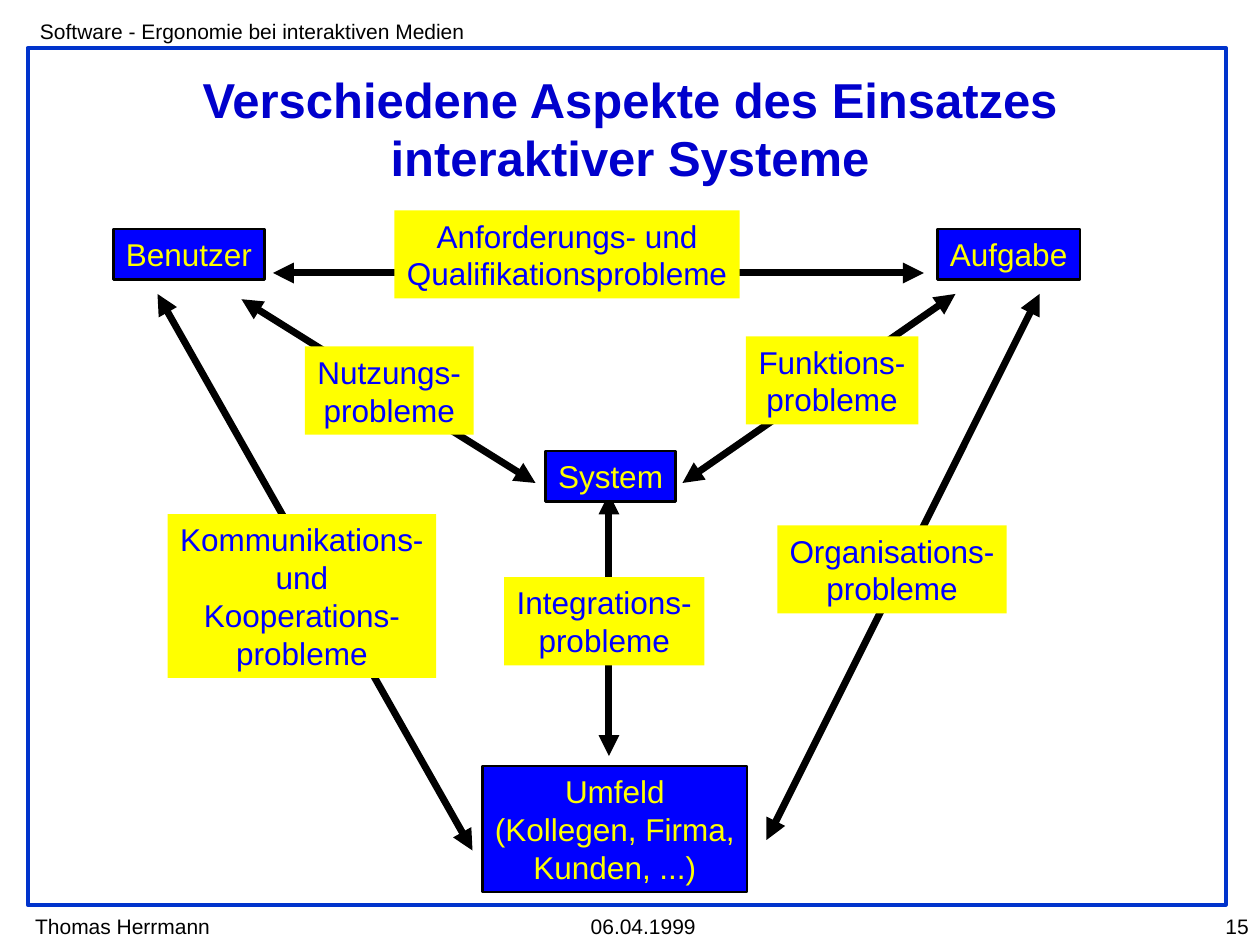
"""Build a slide on the aspects of using interactive systems."""
from dataclasses import dataclass

from lxml import etree
from pptx import Presentation
from pptx import util as u
from pptx.dml.color import RGBColor
from pptx.enum import shapes, text
from pptx.oxml.ns import qn

COLORS = {
    "frame": "0033CC",
    "title": "0000CC",
    "blue": "0000FF",
    "yellow": "FFFF00",
    "black": "000000",
}
FONT = "Arial"
LINE_HEIGHT = 21.6
BOX_PADDING = 7.2


@dataclass(frozen=True)
class Caption:
    wording: str
    left: float
    top: float
    width: float
    align: text.PP_ALIGN = text.PP_ALIGN.LEFT
    wrap: bool = False


@dataclass(frozen=True)
class Box:
    wording: str
    left: float
    top: float
    width: float


@dataclass(frozen=True)
class Arrow:
    x1: float
    y1: float
    x2: float
    y2: float


@dataclass(frozen=True)
class Style:
    fill: str
    ink: str
    outline: str | None = None


ENTITY_STYLE = Style("blue", "yellow", "black")
PROBLEM_STYLE = Style("yellow", "blue")

CAPTIONS = [
    Caption("Thomas Herrmann", 13, 518.4, 114.5),
    Caption("Software - Ergonomie bei interaktiven Medien", 15.8, 7.2, 266.4, wrap=True),
    Caption("06.04.1999", 330.5, 518.4, 74.2),
    Caption("15", 651.6, 518.4, 69.1, text.PP_ALIGN.RIGHT, wrap=True),
]
ARROWS = [
    Arrow(156, 156, 528, 156),
    Arrow(90, 168, 270, 486),
    Arrow(348, 282, 348, 432),
    Arrow(390, 276, 546, 168),
    Arrow(306, 276, 138, 171),
    Arrow(594, 168, 438, 480),
]
ENTITIES = [
    Box("Benutzer", 64.8, 131, 86.4),
    Box("Aufgabe", 535.7, 131, 81.4),
    Box("Umfeld\n(Kollegen, Firma,\nKunden, ...)", 275.8, 437.8, 151.2),
    Box("System", 311.8, 257.8, 74.2),
]
PROBLEMS = [
    Box("Nutzungs-\nprobleme", 174.2, 198, 96.5),
    Box("Funktions-\nprobleme", 426.2, 192.2, 98.6),
    Box("Kommunikations-\nund\nKooperations-\nprobleme", 95.8, 293.8, 153.4),
    Box("Organisations-\nprobleme", 444.2, 300.2, 131),
    Box("Integrations-\nprobleme", 288, 329.8, 114.5),
    Box("Anforderungs- und\nQualifikationsprobleme", 225.4, 120.2, 197.3),
]


def color(name: str) -> RGBColor:
    return RGBColor.from_string(COLORS[name])


def write(frame, wording: str, size: float, ink: str, align: text.PP_ALIGN,
          wrap: bool = False, bold: bool = False) -> None:
    frame.text = wording
    frame.word_wrap = wrap
    frame.auto_size = text.MSO_AUTO_SIZE.NONE
    for para in frame.paragraphs:
        para.alignment = align
        para.font.name = FONT
        para.font.size = u.Pt(size)
        para.font.bold = bold
        para.font.color.rgb = color(ink)


def add_rectangle(page, left: float, top: float, width: float, height: float):
    rectangle = page.shapes.add_shape(
        shapes.MSO_SHAPE.RECTANGLE, u.Pt(left), u.Pt(top), u.Pt(width), u.Pt(height))
    rectangle.shadow.inherit = False
    return rectangle


def add_frame(page) -> None:
    border = add_rectangle(page, 15.8, 27.4, 684.7, 489.6)
    border.fill.background()
    border.line.color.rgb = color("frame")
    border.line.width = u.Pt(2.25)


def add_caption(page, caption: Caption) -> None:
    box = page.shapes.add_textbox(
        u.Pt(caption.left), u.Pt(caption.top), u.Pt(caption.width), u.Pt(LINE_HEIGHT))
    write(box.text_frame, caption.wording, 12, "black", caption.align, caption.wrap)


def add_title(page) -> None:
    title = page.shapes.title
    title.left, title.top, title.width, title.height = map(u.Pt, (36, 36, 648, 74.2))
    title.text_frame.vertical_anchor = text.MSO_ANCHOR.MIDDLE
    write(title.text_frame, "Verschiedene Aspekte des Einsatzes interaktiver Systeme",
          28, "title", text.PP_ALIGN.CENTER, wrap=True, bold=True)


def add_arrow(page, arrow: Arrow) -> None:
    connector = page.shapes.add_connector(
        shapes.MSO_CONNECTOR.STRAIGHT,
        u.Pt(arrow.x1), u.Pt(arrow.y1), u.Pt(arrow.x2), u.Pt(arrow.y2))
    connector.line.color.rgb = color("black")
    connector.line.width = u.Pt(4)
    line = connector.line._get_or_add_ln()
    for end in ("a:headEnd", "a:tailEnd"):
        etree.SubElement(line, qn(end), type="triangle")
    etree.SubElement(connector._element.spPr, qn("a:effectLst"))


def add_box(page, box: Box, style: Style) -> None:
    line_count = len(box.wording.splitlines())
    height = BOX_PADDING + LINE_HEIGHT * line_count
    rectangle = add_rectangle(page, box.left, box.top, box.width, height)
    rectangle.fill.solid()
    rectangle.fill.fore_color.rgb = color(style.fill)
    if style.outline:
        rectangle.line.color.rgb = color(style.outline)
        rectangle.line.width = u.Pt(1.5)
    else:
        rectangle.line.fill.background()
    rectangle.text_frame.vertical_anchor = text.MSO_ANCHOR.MIDDLE
    write(rectangle.text_frame, box.wording, 18, style.ink, text.PP_ALIGN.CENTER)


def main() -> None:
    deck = Presentation()
    deck.slide_width, deck.slide_height = u.Pt(720), u.Pt(540)
    page = deck.slides.add_slide(deck.slide_layouts.get_by_name("Title Only"))
    add_frame(page)
    for caption in CAPTIONS:
        add_caption(page, caption)
    add_title(page)
    for arrow in ARROWS:
        add_arrow(page, arrow)
    for boxes, style in ((ENTITIES, ENTITY_STYLE), (PROBLEMS, PROBLEM_STYLE)):
        for box in boxes:
            add_box(page, box, style)
    deck.save("out.pptx")


if __name__ == "__main__":
    main()
